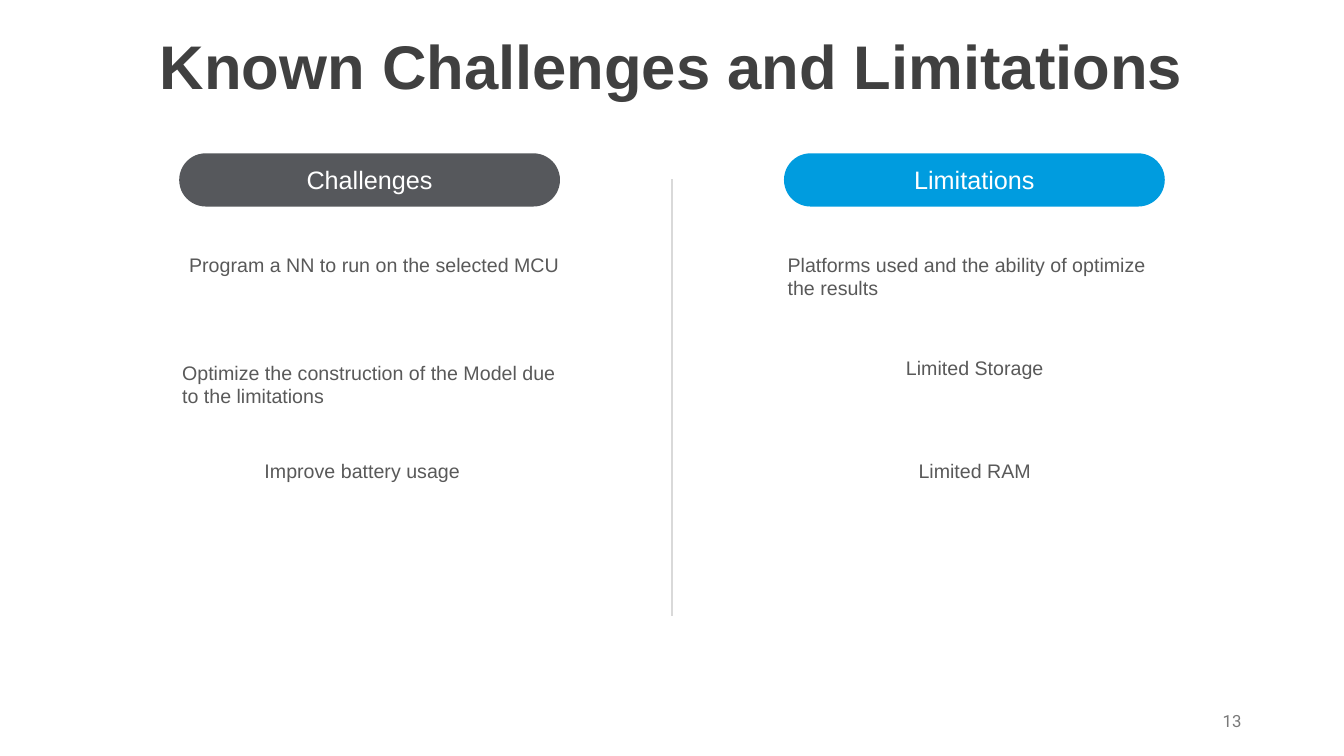
from pptx import Presentation
from pptx.dml.color import RGBColor
from pptx.enum.shapes import MSO_CONNECTOR, MSO_SHAPE
from pptx.enum.text import MSO_ANCHOR, MSO_AUTO_SIZE, PP_ALIGN
from pptx.oxml.ns import qn
from pptx.util import Pt
from lxml import etree

LEFT, MID, RIGHT = PP_ALIGN.LEFT, PP_ALIGN.CENTER, PP_ALIGN.RIGHT
TOP, CENTER = MSO_ANCHOR.TOP, MSO_ANCHOR.MIDDLE
GROW, FIXED = MSO_AUTO_SIZE.SHAPE_TO_FIT_TEXT, MSO_AUTO_SIZE.NONE
PILL, LINE = MSO_SHAPE.ROUNDED_RECTANGLE, MSO_CONNECTOR.STRAIGHT

COLORS = {
    "title": "404040", "body": "595959", "number": "797979",
    "rule": "D9D9D9", "gray": "56585C", "blue": "009CDF", "white": "FFFFFF",
}


class Board:
    def __init__(self, slide, font="Arial"):
        self.slide = slide
        self.font = font

    def color(self, name):
        return RGBColor.from_string(COLORS[name])

    def label(self, shape, text, size, color, align, anchor,
              font=None, bold=False, fit=FIXED):
        frame = shape.text_frame
        frame.text = text
        frame.word_wrap = True
        frame.auto_size = fit
        frame.vertical_anchor = anchor
        para = frame.paragraphs[0]
        para.alignment = align
        para.font.name = font or self.font
        para.font.size = Pt(size)
        para.font.bold = bold
        para.font.color.rgb = self.color(color)
        return para

    def title(self, text, left, top, width, height):
        shape = self.slide.shapes.title
        shape.left, shape.top = Pt(left), Pt(top)
        shape.width, shape.height = Pt(width), Pt(height)
        para = self.label(shape, text, 44, "title", MID, CENTER, bold=True)
        para.line_spacing = 0.9

    def pill(self, text, fill, left, top, width, height):
        shape = self.slide.shapes.add_shape(
            PILL, Pt(left), Pt(top), Pt(width), Pt(height))
        shape.adjustments[0] = 0.5
        shape.shadow.inherit = False
        shape.fill.solid()
        shape.fill.fore_color.rgb = self.color(fill)
        shape.line.fill.background()
        self.label(shape, text, 18, "white", MID, CENTER)

    def text(self, text, left, top, width, height, align, size=14,
             color="body", anchor=TOP, font=None, fit=GROW):
        box = self.slide.shapes.add_textbox(
            Pt(left), Pt(top), Pt(width), Pt(height))
        self.label(box, text, size, color, align, anchor, font, fit=fit)

    def rule(self, x, top, end):
        line = self.slide.shapes.add_connector(
            LINE, Pt(x), Pt(top), Pt(x), Pt(end))
        line.line.color.rgb = self.color("rule")
        line.line.width = Pt(1)
        etree.SubElement(line._element.spPr, qn("a:effectLst"))


HEADS = [("Challenges", "gray", 128), ("Limitations", "blue", 560)]
# Text, left, top, height, alignment
ITEMS = [
    ("Program a NN to run on the selected MCU", 128, 177, 24.5, LEFT),
    ("Optimize the construction of the Model due to the limitations",
     123, 254, 41, LEFT),
    ("Improve battery usage", 118, 324, 24.5, MID),
    ("Platforms used and the ability of optimize the results",
     555.5, 177, 41, LEFT),
    ("Limited Storage", 555.5, 250.5, 24.5, MID),
    ("Limited RAM", 555.5, 324, 24.5, MID),
]


def main():
    deck = Presentation()
    deck.slide_width, deck.slide_height = Pt(960), Pt(540)
    board = Board(deck.slides.add_slide(deck.slide_layouts[5]))
    board.title("Known Challenges and Limitations", 0, 21.5, 960, 56)
    board.rule(480, 128, 440)
    for text, fill, left in HEADS:
        board.pill(text, fill, left, 109.5, 272, 38)
    for text, left, top, height, align in ITEMS:
        board.text(text, left, top, 281.5, height, align)
    board.text("13", 678, 500.5, 216, 29, RIGHT, size=12, color="number",
               anchor=CENTER, font="Roboto", fit=FIXED)
    deck.save("out.pptx")


if __name__ == "__main__":
    main()
